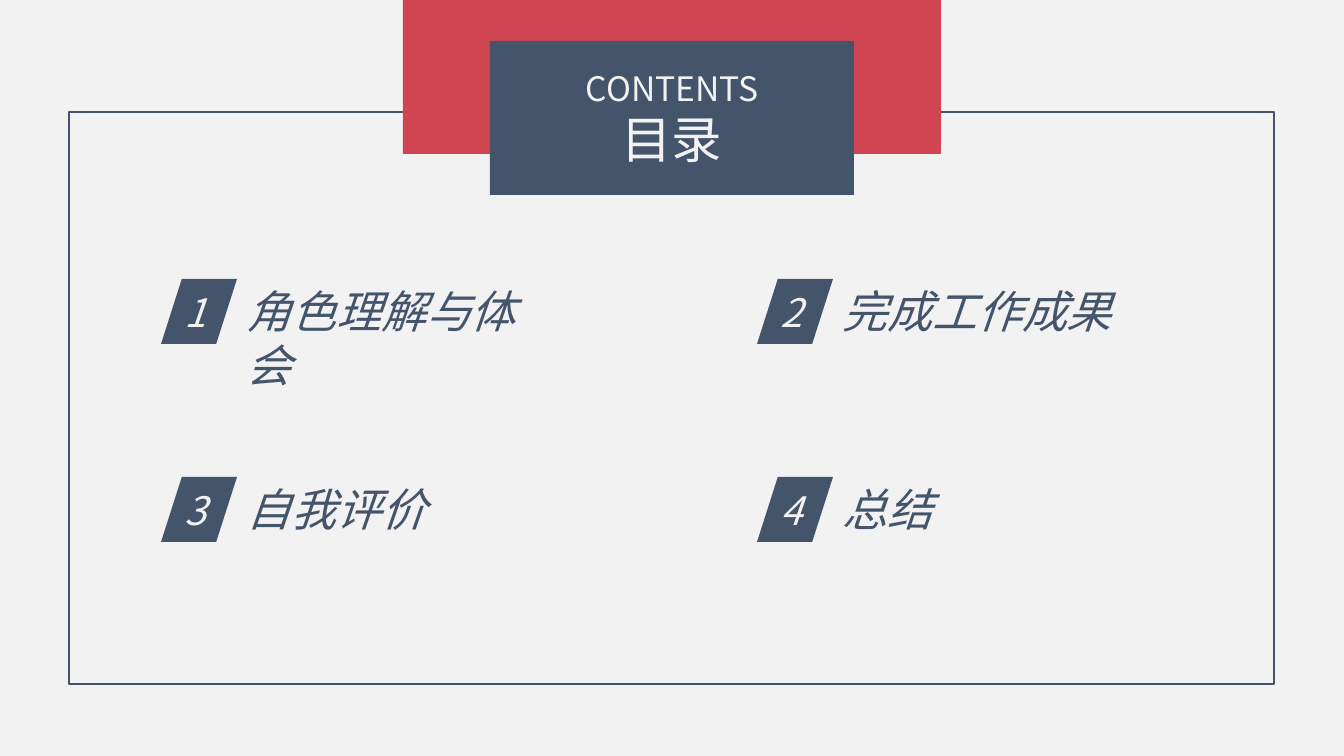
import pptx
import pptx.util
import pptx.dml.color
import pptx.enum.shapes
import pptx.enum.text
import pptx.oxml.ns
import lxml.etree

RGBColor = pptx.dml.color.RGBColor
PALE = RGBColor(0xF2, 0xF2, 0xF2)
NAVY = RGBColor(0x44, 0x54, 0x6B)
RED = RGBColor(0xD1, 0x45, 0x53)
FONT = "Noto Sans CJK SC"
SHAPE = pptx.enum.shapes.MSO_SHAPE
ALIGN = pptx.enum.text.PP_ALIGN
ANCHOR = pptx.enum.text.MSO_ANCHOR
FIT = pptx.enum.text.MSO_AUTO_SIZE

# Agenda entries: number, title, title width
ITEMS = [
    ("1", "角色理解与体会", 330),
    ("2", "完成工作成果", 290),
    ("3", "自我评价", 201),
    ("4", "总结", 111),
]
LEFT, TOP = 161, 279
COL, ROW = 596, 198
TAG_W, TAG_H = 76, 65


def px(num):
    return pptx.util.Emu(round(num * 914400 / 100.8))


def box(shapes, kind, rect, fill=None, line=None):
    shape = shapes.add_shape(kind, *map(px, rect))
    shape.shadow.inherit = False
    if fill is None:
        shape.fill.background()
    else:
        shape.fill.solid()
        shape.fill.fore_color.rgb = fill
    if line is None:
        shape.line.fill.background()
    else:
        shape.line.color.rgb = line
        shape.line.width = pptx.util.Pt(1)
    return shape


def style(para, size, color, align, italic=False):
    para.alignment = align
    for run in para.runs:
        font = run.font
        font.name = FONT
        font.size = pptx.util.Pt(size)
        font.color.rgb = color
        font.italic = italic
        # East Asian typeface follows the Latin one
        latin = font._element.find(pptx.oxml.ns.qn("a:latin"))
        asian = lxml.etree.Element(pptx.oxml.ns.qn("a:ea"), typeface=FONT)
        latin.addnext(asian)


def inset(frame, left, top, right, bottom):
    frame.margin_left, frame.margin_top = px(left), px(top)
    frame.margin_right, frame.margin_bottom = px(right), px(bottom)
    frame.vertical_anchor = ANCHOR.MIDDLE


def header(shapes):
    box(shapes, SHAPE.RECTANGLE, (403, 0, 538, 154), RED)
    panel = box(shapes, SHAPE.RECTANGLE, (490, 41, 364, 154), NAVY)
    frame = panel.text_frame
    inset(frame, 0, 0, 0, 0)
    frame.text = "CONTENTS\n目录"
    for para, size in zip(frame.paragraphs, (24, 36)):
        style(para, size, PALE, ALIGN.CENTER)


def entry(shapes, left, top, num, title, width):
    group = shapes.add_group_shape().shapes

    # Slanted number tag
    tag = box(group, SHAPE.PARALLELOGRAM, (left, top, TAG_W, TAG_H), NAVY)
    tag.adjustments[0] = 0.32
    frame = tag.text_frame
    inset(frame, 0, 5, 8, 5)
    frame.text = num
    style(frame.paragraphs[0], 28, PALE, ALIGN.CENTER, True)

    # Title
    label = group.add_textbox(*map(px, (left + TAG_W, top, width, TAG_H)))
    frame = label.text_frame
    frame.word_wrap = True
    frame.auto_size = FIT.SHAPE_TO_FIT_TEXT
    frame.text = title
    style(frame.paragraphs[0], 32, NAVY, ALIGN.LEFT, True)


def main():
    deck = pptx.Presentation()
    deck.slide_width, deck.slide_height = px(1344), px(756)
    slide = deck.slides.add_slide(deck.slide_layouts[6])
    slide.background.fill.solid()
    slide.background.fill.fore_color.rgb = PALE
    shapes = slide.shapes

    # Frame and heading
    box(shapes, SHAPE.RECTANGLE, (69, 112, 1205, 572), line=NAVY)
    header(shapes)

    # Agenda in two columns
    for i, item in enumerate(ITEMS):
        row, col = divmod(i, 2)
        entry(shapes, LEFT + col * COL, TOP + row * ROW, *item)

    deck.save("out.pptx")


if __name__ == "__main__":
    main()
